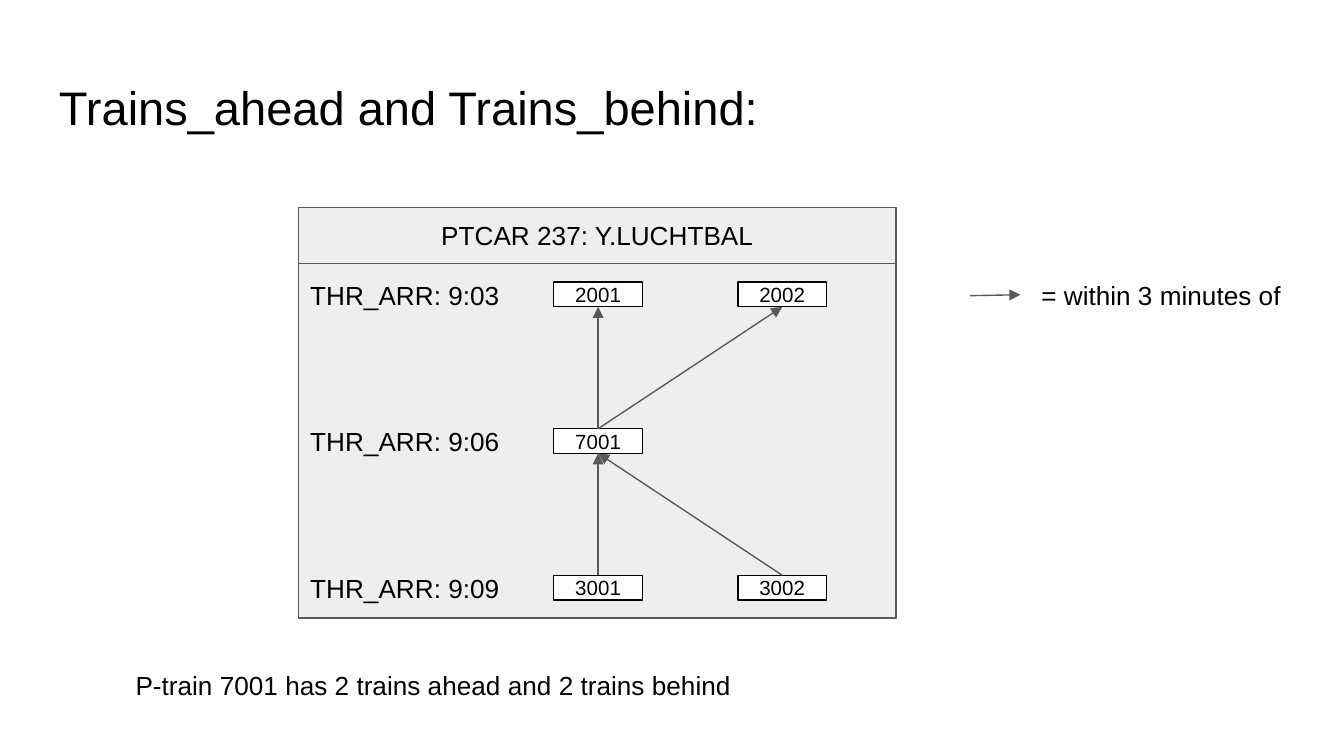
from pptx import Presentation
from pptx.dml.color import RGBColor
from pptx.enum.shapes import MSO_CONNECTOR as CONN, MSO_SHAPE as SHAPE
from pptx.enum.text import MSO_ANCHOR as ANCHOR, PP_ALIGN as ALIGN
from pptx.oxml.ns import qn
from pptx.util import Pt
from lxml.etree import SubElement


def color(hex_value):
    return RGBColor.from_string(hex_value)


def write(s, text, size, align=ALIGN.LEFT, anchor=ANCHOR.TOP):
    tf = s.text_frame
    tf.word_wrap = True
    tf.vertical_anchor = anchor
    tf.margin_left = tf.margin_right = tf.margin_top = tf.margin_bottom = Pt(7.2)
    p = tf.paragraphs[0]
    p.text = text
    p.alignment = align
    p.font.name = "Arial"
    p.font.size = Pt(size)
    p.font.color.rgb = color("000000")


prs = Presentation()
prs.slide_width, prs.slide_height = Pt(720), Pt(405)
slide = prs.slides.add_slide(prs.slide_layouts[6])
shapes = slide.shapes

row_top, row_step = 151.2, 78.5
col_left, col_step = 296.7, 98.6
box_w, box_h = 47.5, 13.2

rects = [
    ("", 160, 141.2, 320, 190, "EEEEEE", "595959", 14),
    ("PTCAR 237: Y.LUCHTBAL", 160, 111, 320, 30.2, "EEEEEE", "595959", 14),
]
trains = [("2001", 0, 0), ("2002", 0, 1), ("7001", 1, 0), ("3001", 2, 0), ("3002", 2, 1)]
for name, row, col in trains:
    rects.append((name, col_left + col * col_step, row_top + row * row_step,
                  box_w, box_h, "FFFFFF", "000000", 11))

boxes = {}
for text, x, y, w, h, fill, line, size in rects:
    s = shapes.add_shape(SHAPE.RECTANGLE, Pt(x), Pt(y), Pt(w), Pt(h))
    s.shadow.inherit = False
    s.fill.solid()
    s.fill.fore_color.rgb = color(fill)
    s.line.color.rgb = color(line)
    s.line.width = Pt(0.75)
    if text:
        write(s, text, size, ALIGN.CENTER, ANCHOR.MIDDLE)
    boxes[text] = s

arrows = [("7001", "2001"), ("7001", "2002"), ("3001", "7001"), ("3002", "7001"), None]
for pair in arrows:
    c = shapes.add_connector(CONN.STRAIGHT, Pt(519.6), Pt(158.4), Pt(546.7), Pt(157.9))
    if pair:
        c.begin_connect(boxes[pair[0]], 0)
        c.end_connect(boxes[pair[1]], 2)
    c.line.color.rgb = color("595959")
    c.line.width = Pt(0.75)
    SubElement(c.line._get_or_add_ln(), qn("a:tailEnd"), type="triangle")
    SubElement(c._element.spPr, qn("a:effectLst"))

texts = [
    ("Trains_ahead and Trains_behind:", 24.5, 35, 671, 45, 25.2),
    ("= within 3 minutes of", 550.8, 142.4, 144, 31.5, 14),
    ("P-train 7001 has 2 trains ahead and 2 trains behind", 65.5, 351.5, 550, 31.5, 14),
]
for row, time in enumerate(["9:03", "9:06", "9:09"]):
    texts.append((f"THR_ARR: {time}", 159.1, row_top - 8.9 + row * row_step, 127.4, 31.5, 14))
for text, x, y, w, h, size in texts:
    write(shapes.add_textbox(Pt(x), Pt(y), Pt(w), Pt(h)), text, size)

prs.save("out.pptx")
